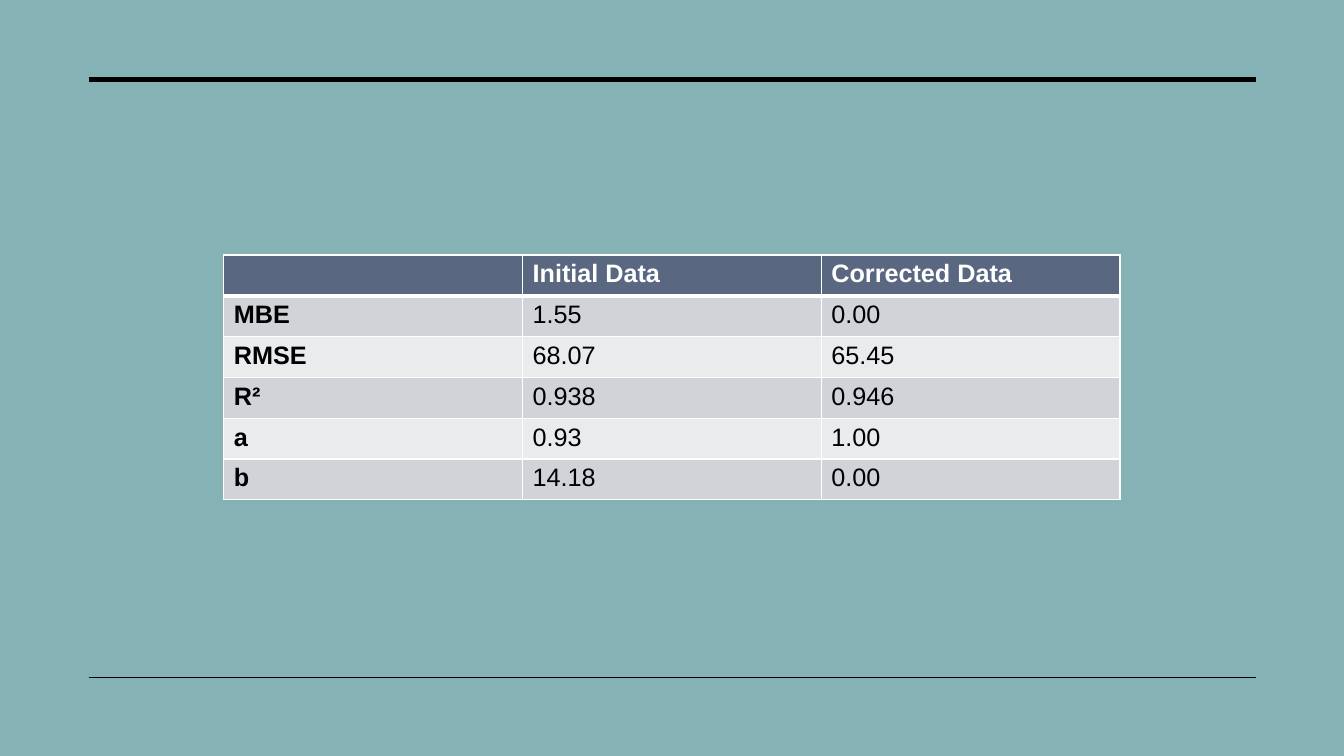
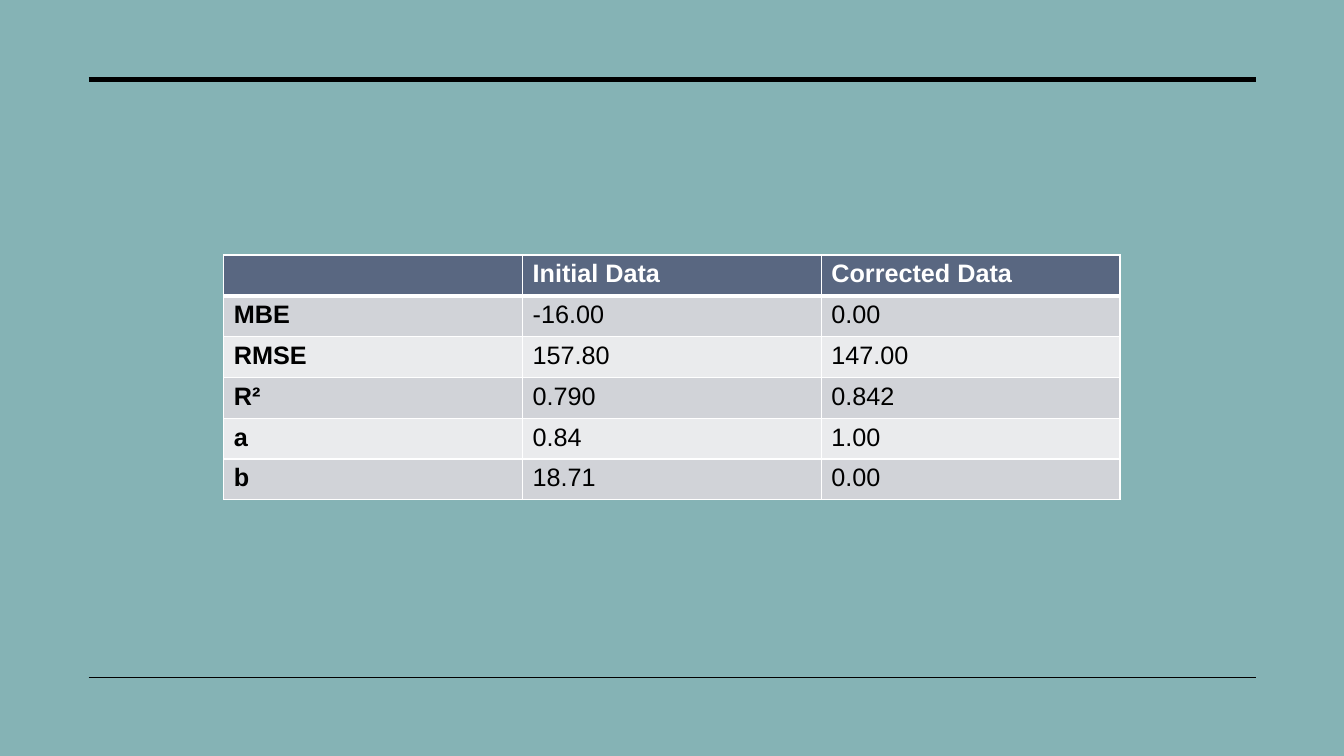
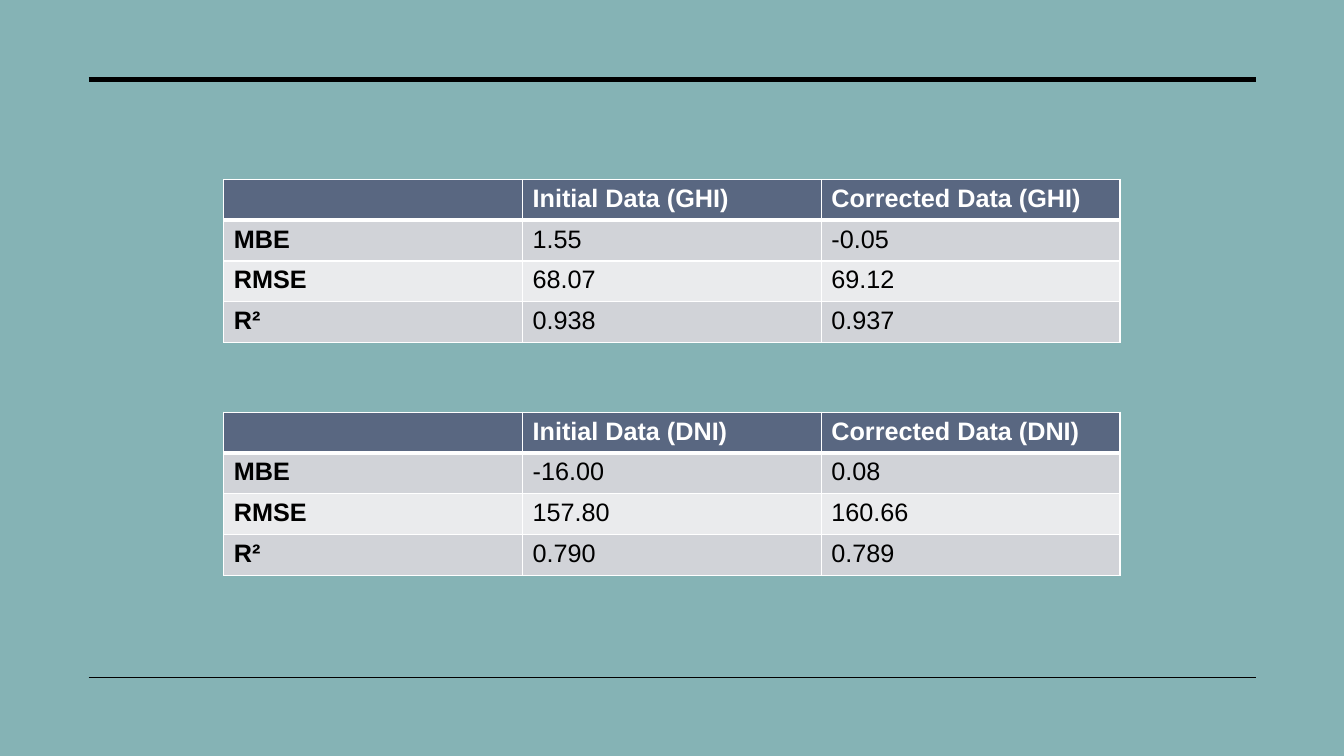
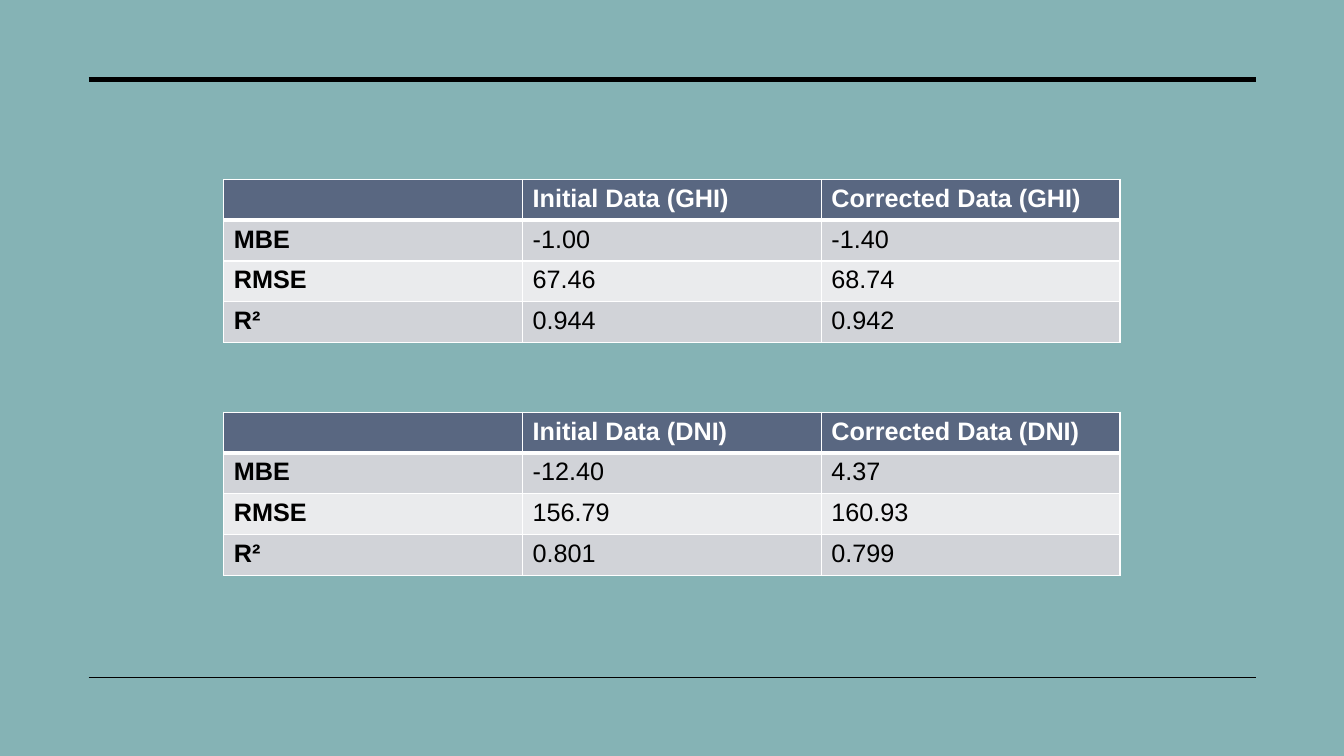
from lxml import etree
from pptx import Presentation
from pptx import util as u
from pptx.dml.color import RGBColor
from pptx.enum import shapes
from pptx.oxml.ns import qn

BACKGROUND = RGBColor(0x85, 0xB3, 0xB5)
BLACK = RGBColor(0, 0, 0)
WHITE = RGBColor(0xFF, 0xFF, 0xFF)
HEADER = RGBColor(0x59, 0x67, 0x81)
BANDS = (RGBColor(0xD1, 0xD3, 0xD8), RGBColor(0xEA, 0xEB, 0xED))

FONT = "Arial"
TABLE_LEFT, TABLE_WIDTH = 2.22, 8.89
SINGLE_TABLE = (TABLE_LEFT, 2.53, TABLE_WIDTH, 2.43)
GHI_TABLE = (TABLE_LEFT, 1.78, TABLE_WIDTH, 1.62)
DNI_TABLE = (TABLE_LEFT, 4.09, TABLE_WIDTH, 1.62)
RULE_LEFT, RULE_RIGHT = 0.88, 12.46
RULES = ((0.79, 3.5), (6.72, 1))

METRICS = ("MBE", "RMSE", "R²", "a", "b")

SLIDES = (
    ((SINGLE_TABLE, "",
      ("1.55", "68.07", "0.938", "0.93", "14.18"),
      ("0.00", "65.45", "0.946", "1.00", "0.00")),),
    ((SINGLE_TABLE, "",
      ("-16.00", "157.80", "0.790", "0.84", "18.71"),
      ("0.00", "147.00", "0.842", "1.00", "0.00")),),
    ((GHI_TABLE, " (GHI)",
      ("1.55", "68.07", "0.938"), ("-0.05", "69.12", "0.937")),
     (DNI_TABLE, " (DNI)",
      ("-16.00", "157.80", "0.790"), ("0.08", "160.66", "0.789"))),
    ((GHI_TABLE, " (GHI)",
      ("-1.00", "67.46", "0.944"), ("-1.40", "68.74", "0.942")),
     (DNI_TABLE, " (DNI)",
      ("-12.40", "156.79", "0.801"), ("4.37", "160.93", "0.799"))),
)


def add_rule(slide, top, weight):
    y = u.Inches(top)
    rule = slide.shapes.add_connector(
        shapes.MSO_CONNECTOR.STRAIGHT,
        u.Inches(RULE_LEFT), y, u.Inches(RULE_RIGHT), y)
    rule.line.color.rgb = BLACK
    rule.line.width = u.Pt(weight)
    etree.SubElement(rule.element.spPr, qn("a:effectLst"))


def set_borders(cell, top, bottom):
    properties = cell._tc.get_or_add_tcPr()
    for side, weight in (("L", 1), ("R", 1), ("T", top), ("B", bottom)):
        border = etree.SubElement(
            properties, qn(f"a:ln{side}"), w=str(u.Pt(weight)))
        fill = etree.SubElement(border, qn("a:solidFill"))
        etree.SubElement(fill, qn("a:srgbClr"), val=str(WHITE))


def fill_cell(cell, content, row, column):
    is_header = row == 0
    set_borders(cell, 3 if row == 1 else 1, 3 if is_header else 1)
    cell.fill.solid()
    cell.fill.fore_color.rgb = HEADER if is_header else BANDS[(row - 1) % 2]
    cell.text = content
    font = cell.text_frame.paragraphs[0].font
    font.name = FONT
    font.size = u.Pt(18)
    font.bold = is_header or column == 0
    font.color.rgb = WHITE if is_header else BLACK


def add_comparison(slide, box, suffix, initial, corrected):
    rows = [("", f"Initial Data{suffix}", f"Corrected Data{suffix}"),
            *zip(METRICS, initial, corrected)]
    comparison = slide.shapes.add_table(
        len(rows), len(rows[0]), *map(u.Inches, box)).table
    comparison.first_col = True
    for r, row in enumerate(rows):
        for c, content in enumerate(row):
            fill_cell(comparison.cell(r, c), content, r, c)


def add_results_slide(deck, comparisons):
    slide = deck.slides.add_slide(deck.slide_layouts[6])
    slide.background.fill.solid()
    slide.background.fill.fore_color.rgb = BACKGROUND
    for top, weight in RULES:
        add_rule(slide, top, weight)
    for comparison in comparisons:
        add_comparison(slide, *comparison)


def main():
    deck = Presentation()
    deck.slide_width = u.Inches(13.33)
    deck.slide_height = u.Inches(7.5)
    for comparisons in SLIDES:
        add_results_slide(deck, comparisons)
    deck.save("out.pptx")


if __name__ == "__main__":
    main()
